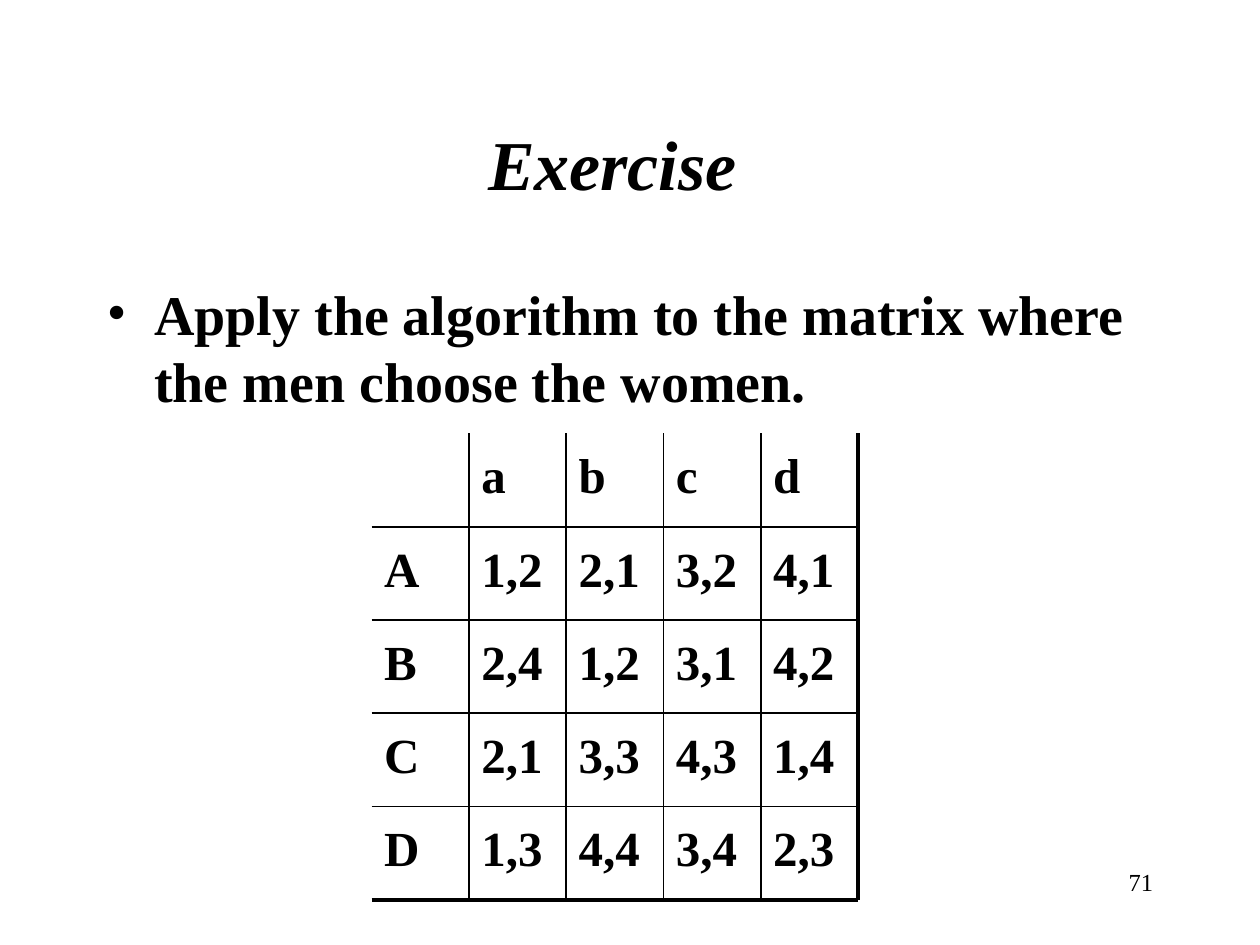
from lxml.etree import SubElement
from pptx import Presentation
from pptx.dml.color import RGBColor
from pptx.enum.shapes import MSO_CONNECTOR
from pptx.enum.text import MSO_ANCHOR, PP_ALIGN
from pptx.oxml.ns import qn
from pptx.util import Pt

COLORS = {"text": "000000", "line": "000000"}
FONT = "Times New Roman"


def add_text(text, box, size, bold=True, italic=False, align=PP_ALIGN.LEFT,
             anchor=MSO_ANCHOR.TOP, top=3.6, right=7.2, bullet_indent=0):
    frame = slide.shapes.add_textbox(*map(Pt, box)).text_frame
    frame.word_wrap = True
    frame.vertical_anchor = anchor
    frame.margin_left, frame.margin_right = Pt(7.2), Pt(right)
    frame.margin_top, frame.margin_bottom = Pt(top), Pt(3.6)
    paragraph = frame.paragraphs[0]
    paragraph.alignment = align
    if bullet_indent:
        properties = paragraph._p.get_or_add_pPr()
        properties.set("marL", str(Pt(bullet_indent)))
        properties.set("indent", str(-Pt(bullet_indent)))
        SubElement(properties, qn("a:buFont"), typeface=FONT)
        SubElement(properties, qn("a:buChar"), char="•")
    run = paragraph.add_run()
    run.text = text
    run.font.name = FONT
    run.font.size = Pt(size)
    run.font.bold = bold
    run.font.italic = italic
    run.font.color.rgb = RGBColor.from_string(COLORS["text"])


def add_line(start_x, start_y, end_x, end_y, width):
    line = slide.shapes.add_connector(MSO_CONNECTOR.STRAIGHT,
                                      Pt(start_x), Pt(start_y), Pt(end_x), Pt(end_y))
    line.line.color.rgb = RGBColor.from_string(COLORS["line"])
    line.line.width = Pt(width)
    SubElement(line._element.spPr, qn("a:effectLst"))


presentation = Presentation()
presentation.slide_width, presentation.slide_height = Pt(720), Pt(540)
slide = presentation.slides.add_slide(presentation.slide_layouts[6])

# Slide number, title and instruction
add_text("71", (516, 492, 150, 36), size=14, bold=False, align=PP_ALIGN.RIGHT)
add_text("Exercise", (54, 48, 612, 90), size=40, italic=True,
         align=PP_ALIGN.CENTER, anchor=MSO_ANCHOR.MIDDLE, right=27.2)
add_text("Apply the algorithm to the matrix where the men choose the women.",
         (54, 156, 612, 324), size=32, bullet_indent=27)

# Preference matrix
matrix = [
    ["", "a", "b", "c", "d"],
    ["A", "1,2", "2,1", "3,2", "4,1"],
    ["B", "2,4", "1,2", "3,1", "4,2"],
    ["C", "2,1", "3,3", "4,3", "1,4"],
    ["D", "1,3", "4,4", "3,4", "2,3"],
]
count = len(matrix)
left, top = 212.4, 247.68
column_width, row_height = 55.58, 53.28
right, bottom = left + count * column_width, top + count * row_height

for row_index, values in enumerate(matrix):
    for column_index, value in enumerate(values):
        if value:
            add_text(value, (left + column_index * column_width, top + row_index * row_height,
                             column_width, row_height), size=28, top=6.6)

# Grid lines: the last one in each direction is heavy
line_widths = [1] * (count - 1) + [2.25]
for index, width in enumerate(line_widths, start=1):
    y = top + index * row_height
    add_line(left, y, right, y, width)
for index, width in enumerate(line_widths, start=1):
    x = left + index * column_width
    add_line(x, top, x, bottom, width)

presentation.save("out.pptx")
